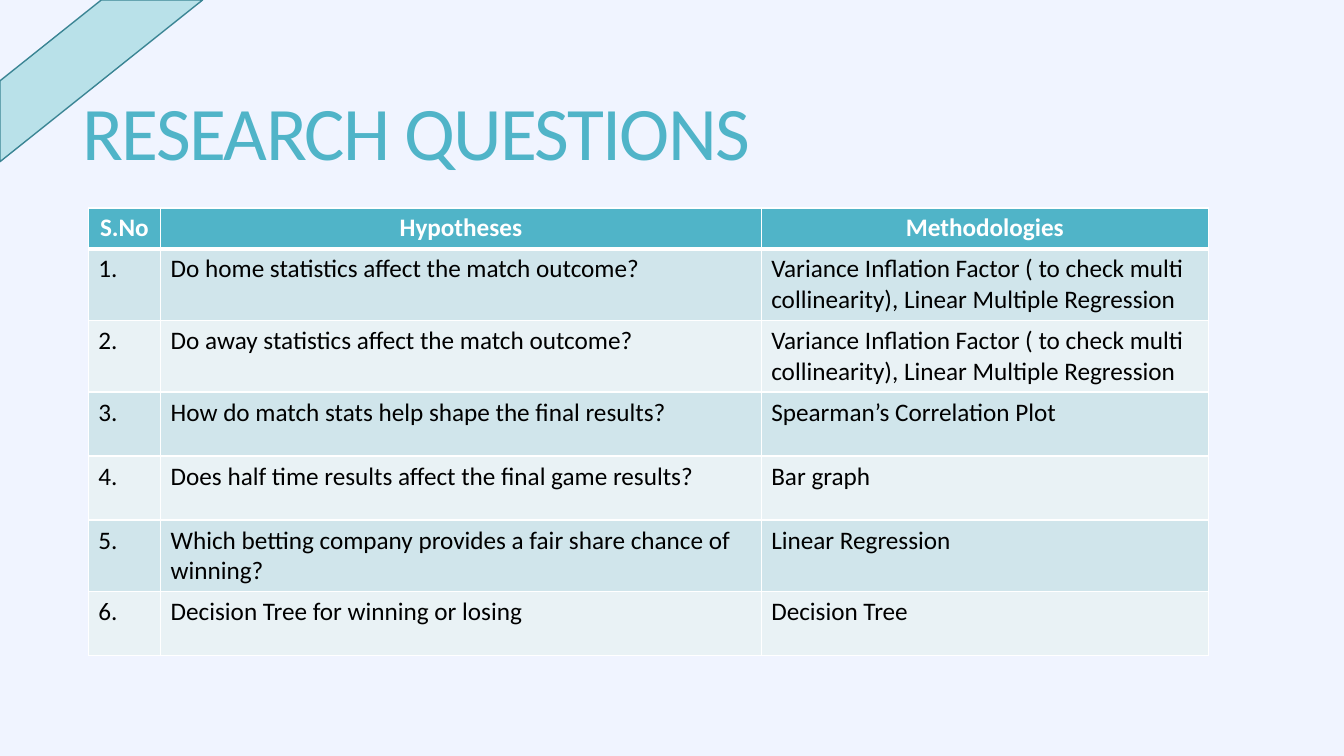
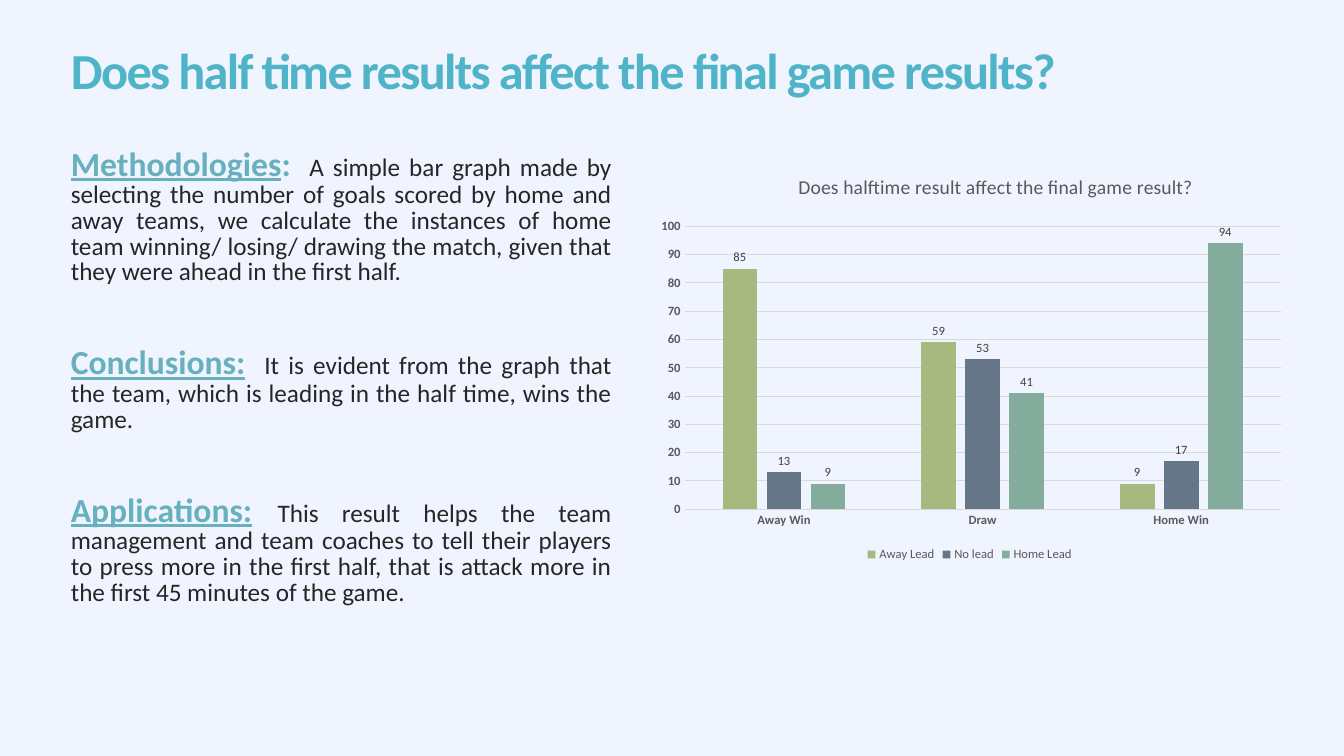
"""Build two slides on how match statistics relate to results."""
from typing import NamedTuple

from lxml import etree
from pptx import Presentation
from pptx.chart.data import CategoryChartData
from pptx.dml.color import RGBColor
from pptx.enum.chart import XL_CHART_TYPE, XL_LABEL_POSITION, XL_LEGEND_POSITION, XL_TICK_MARK
from pptx.enum.shapes import MSO_SHAPE
from pptx.enum.text import MSO_ANCHOR, MSO_AUTO_SIZE, PP_ALIGN
from pptx.oxml.ns import qn
from pptx.util import Emu, Pt

COLUMNS = XL_CHART_TYPE.COLUMN_CLUSTERED
OUTSIDE_END = XL_LABEL_POSITION.OUTSIDE_END
LEGEND_BOTTOM = XL_LEGEND_POSITION.BOTTOM
NO_TICK = XL_TICK_MARK.NONE
STRIPE = MSO_SHAPE.DIAGONAL_STRIPE
MIDDLE, TOP = MSO_ANCHOR.MIDDLE, MSO_ANCHOR.TOP
NO_AUTOFIT = MSO_AUTO_SIZE.NONE
LEFT, CENTER, JUSTIFY = PP_ALIGN.LEFT, PP_ALIGN.CENTER, PP_ALIGN.JUSTIFY

EMU_PER_PX = 9525
FONT = "Calibri"
TITLE_ONLY = 5
LINE_SPACING = 0.85
BACKGROUND, ACCENT, HEADING = "F0F4FF", "50B4C8", "66B1BD"
STRIPE_FILL, STRIPE_LINE = "B9E1E9", "3B8594"
ROW_FILLS = ("E9F2F5", "D0E5EB")
WHITE, BLACK, INK = "FFFFFF", "000000", "262626"
CHART_TEXT, LABEL_TEXT, GRID = "595959", "404040", "D9D9D9"


class Area(NamedTuple):
    """A rectangle in px."""
    left: int
    top: int
    width: int
    height: int


class Question(NamedTuple):
    """A row of the research table."""
    hypothesis: str
    methodology: str


class Finding(NamedTuple):
    """A headed paragraph, with the tail of its heading and the gap after it."""
    heading: str
    tail: str
    gap: float
    text: str


class Series(NamedTuple):
    """A named, coloured set of chart values."""
    name: str
    color: str
    values: tuple[int, ...]


VARIANCE = "Variance Inflation Factor ( to check multi collinearity), Linear Multiple Regression"
TABLE_HEAD = ("S.No", "Hypotheses", "Methodologies")
COLUMN_WIDTHS = (69, 572, 426)
HEAD_HEIGHT, ROW_HEIGHT = 23, 61
QUESTIONS = (
    Question("Do home statistics affect the match outcome?", VARIANCE),
    Question("Do away statistics affect the match outcome?", VARIANCE),
    Question("How do match stats help shape the final results?", "Spearman’s Correlation Plot"),
    Question("Does half time results affect the final game results?", "Bar graph"),
    Question("Which betting company provides a fair share chance of winning?", "Linear Regression"),
    Question("Decision Tree for winning or losing", "Decision Tree"),
)
FINDINGS = (
    Finding("Methodologies", ": ", 5.4,
            "A simple bar graph made by selecting the number of goals scored by home and away "
            "teams, we calculate the instances of home team winning/ losing/ drawing the match, "
            "given that they were ahead in the first half."),
    Finding("Conclusions:", " ", 5.4,
            "It is evident from the graph that the team, which is leading in the half time, "
            "wins the game."),
    Finding("Applications:", " ", 0,
            "This result helps the team management and team coaches to tell their players to "
            "press more in the first half, that is attack more in the first 45 minutes of the game."),
)
OUTCOMES = ("Away Win", "Draw", "Home Win")
LEADS = (
    Series("Away Lead", "A8B97F", (85, 59, 9)),
    Series("No lead", "657689", (13, 53, 17)),
    Series("Home Lead", "84AC9D", (9, 41, 94)),
)


def px(length: int) -> Emu:
    """Turn px into EMU."""
    return Emu(length * EMU_PER_PX)


def rgb(color: str) -> RGBColor:
    """Turn a hex string into a colour."""
    return RGBColor.from_string(color)


def paint(target, color: str) -> None:
    """Give a shape, cell, series or background a solid fill."""
    target.fill.solid()
    target.fill.fore_color.rgb = rgb(color)


def style_font(font, size: float, color: str, bold: bool = False, underline: bool = False) -> None:
    """Set the face, size, colour and weight of a font."""
    font.name, font.size, font.bold = FONT, Pt(size), bold
    font.color.rgb = rgb(color)
    if underline:
        font.underline = True


def write(para, text: str, *, size: float, color: str, bold: bool = False,
          underline: bool = False, spacing: float = 0) -> None:
    """Add formatted text to a paragraph."""
    span = para.add_run()
    span.text = text
    style_font(span.font, size, color, bold, underline)
    if spacing:
        span._r.get_or_add_rPr().set("spc", str(round(spacing * 100)))


def add_titled_slide(deck, text: str, area: Area, size: float, bold: bool = False):
    """Add a title-only slide and format its title."""
    slide = deck.slides.add_slide(deck.slide_layouts[TITLE_ONLY])
    title = slide.shapes.title
    title.left, title.top, title.width, title.height = map(px, area)
    frame = title.text_frame
    frame.word_wrap, frame.auto_size, frame.vertical_anchor = True, NO_AUTOFIT, MIDDLE
    para = frame.paragraphs[0]
    para.alignment, para.line_spacing = LEFT, LINE_SPACING
    write(para, text, size=size, color=ACCENT, bold=bold, spacing=-1.2)
    return slide


def add_stripe(slide, area: Area) -> None:
    """Add the diagonal corner stripe."""
    stripe = slide.shapes.add_shape(STRIPE, *map(px, area))
    stripe.shadow.inherit = False
    paint(stripe, STRIPE_FILL)
    stripe.line.color.rgb = rgb(STRIPE_LINE)
    stripe.line.width = Pt(1)


def add_borders(cell, top: float, bottom: float) -> None:
    """Draw white borders round a cell."""
    properties = cell._tc.get_or_add_tcPr()
    for side, width in (("L", 1), ("R", 1), ("T", top), ("B", bottom)):
        line = etree.SubElement(properties, qn(f"a:ln{side}"), w=str(Pt(width)))
        fill = etree.SubElement(line, qn("a:solidFill"))
        etree.SubElement(fill, qn("a:srgbClr"), val=WHITE)


def add_question_table(slide, left: int, top: int) -> None:
    """Add the numbered table of hypotheses and methodologies."""
    rows = [TABLE_HEAD] + [(f"{number}.", *question) for number, question in enumerate(QUESTIONS, 1)]
    area = Area(left, top, sum(COLUMN_WIDTHS), HEAD_HEIGHT + ROW_HEIGHT * len(QUESTIONS))
    table = slide.shapes.add_table(len(rows), len(COLUMN_WIDTHS), *map(px, area)).table
    for column, width in zip(table.columns, COLUMN_WIDTHS):
        column.width = px(width)
    for index, texts in enumerate(rows):
        is_head = index == 0
        table.rows[index].height = px(HEAD_HEIGHT if is_head else ROW_HEIGHT)
        for cell, text in zip(table.rows[index].cells, texts):
            add_borders(cell, top=3 if index == 1 else 1, bottom=3 if is_head else 1)
            paint(cell, ACCENT if is_head else ROW_FILLS[index % 2])
            cell.vertical_anchor = MIDDLE if is_head else TOP
            para = cell.text_frame.paragraphs[0]
            para.alignment = CENTER if is_head else LEFT
            write(para, text, size=18, color=WHITE if is_head else BLACK, bold=is_head)


def add_findings(slide, area: Area) -> None:
    """Add the justified paragraphs with underlined headings."""
    frame = slide.shapes.add_textbox(*map(px, area)).text_frame
    frame.word_wrap = True
    for index, finding in enumerate(FINDINGS):
        para = frame.add_paragraph() if index else frame.paragraphs[0]
        para.alignment, para.line_spacing = JUSTIFY, LINE_SPACING
        if index:
            para.space_before = Pt(44)
        write(para, finding.heading, size=24, color=HEADING, bold=True, underline=True)
        if finding.tail.strip():
            write(para, finding.tail.strip(), size=24, color=HEADING, bold=True)
        write(para, " ", size=24, color=HEADING, bold=True, spacing=finding.gap)
        write(para, finding.text, size=18, color=INK)


def place_in_chart(parent, position: int, **fractions: float) -> None:
    """Place a chart part by fractions of the chart area."""
    for old in parent.findall(qn("c:layout")):
        parent.remove(old)
    layout = etree.Element(qn("c:layout"))
    manual = etree.SubElement(layout, qn("c:manualLayout"))
    if "w" in fractions:
        etree.SubElement(manual, qn("c:layoutTarget"), val="inner")
    for name in ("xMode", "yMode"):
        etree.SubElement(manual, qn(f"c:{name}"), val="edge")
    for name, fraction in fractions.items():
        etree.SubElement(manual, qn(f"c:{name}"), val=str(fraction))
    parent.insert(position, layout)


def add_lead_chart(slide, area: Area) -> None:
    """Add the column chart of results by half-time lead."""
    data = CategoryChartData()
    data.categories = OUTCOMES
    for lead in LEADS:
        data.add_series(lead.name, lead.values)
    chart = slide.shapes.add_chart(COLUMNS, *map(px, area), data).chart
    style_font(chart.font, 10, BLACK)
    chart.has_title = True
    write(chart.chart_title.text_frame.paragraphs[0],
          "Does halftime result affect the final game result?", size=14, color=CHART_TEXT)
    chart.has_legend = True
    chart.legend.position, chart.legend.include_in_layout = LEGEND_BOTTOM, False
    style_font(chart.legend.font, 9, CHART_TEXT)

    plot = chart.plots[0]
    plot.gap_width, plot.overlap, plot.vary_by_categories = 219, -27, False
    for series, lead in zip(plot.series, LEADS):
        paint(series.format, lead.color)
        labels = series.data_labels
        labels.show_value, labels.position = True, OUTSIDE_END
        style_font(labels.font, 9, LABEL_TEXT)

    values = chart.value_axis
    for axis in (chart.category_axis, values):
        axis.major_tick_mark = axis.minor_tick_mark = NO_TICK
        style_font(axis.tick_labels.font, 9, CHART_TEXT, bold=True)
    values.minimum_scale, values.maximum_scale, values.major_unit = 0, 100, 10
    values.format.line.fill.background()
    for line in (chart.category_axis.format.line, values.major_gridlines.format.line):
        line.color.rgb = rgb(GRID)
        line.width = Pt(0.75)

    root = chart.element
    place_in_chart(root.find(f".//{qn('c:plotArea')}"), 0, x=0.06, y=0.16, w=0.92, h=0.7)
    place_in_chart(root.find(f"{qn('c:chart')}/{qn('c:title')}"), 1, x=0.23, y=0.02)


def main() -> None:
    """Build and save the deck."""
    deck = Presentation()
    deck.slide_width, deck.slide_height = px(1280), px(720)
    paint(deck.slide_master.background, BACKGROUND)

    questions = add_titled_slide(deck, "RESEARCH QUESTIONS", Area(69, 44, 1131, 174), 54)
    add_stripe(questions, Area(0, 0, 193, 154))
    add_question_table(questions, 84, 198)

    half_time = add_titled_slide(deck, "Does half time results affect the final game results?",
                                 Area(58, 18, 1129, 105), 36, bold=True)
    add_findings(half_time, Area(58, 137, 534, 484))
    add_lead_chart(half_time, Area(615, 154, 617, 385))
    deck.save("out.pptx")


if __name__ == "__main__":
    main()
